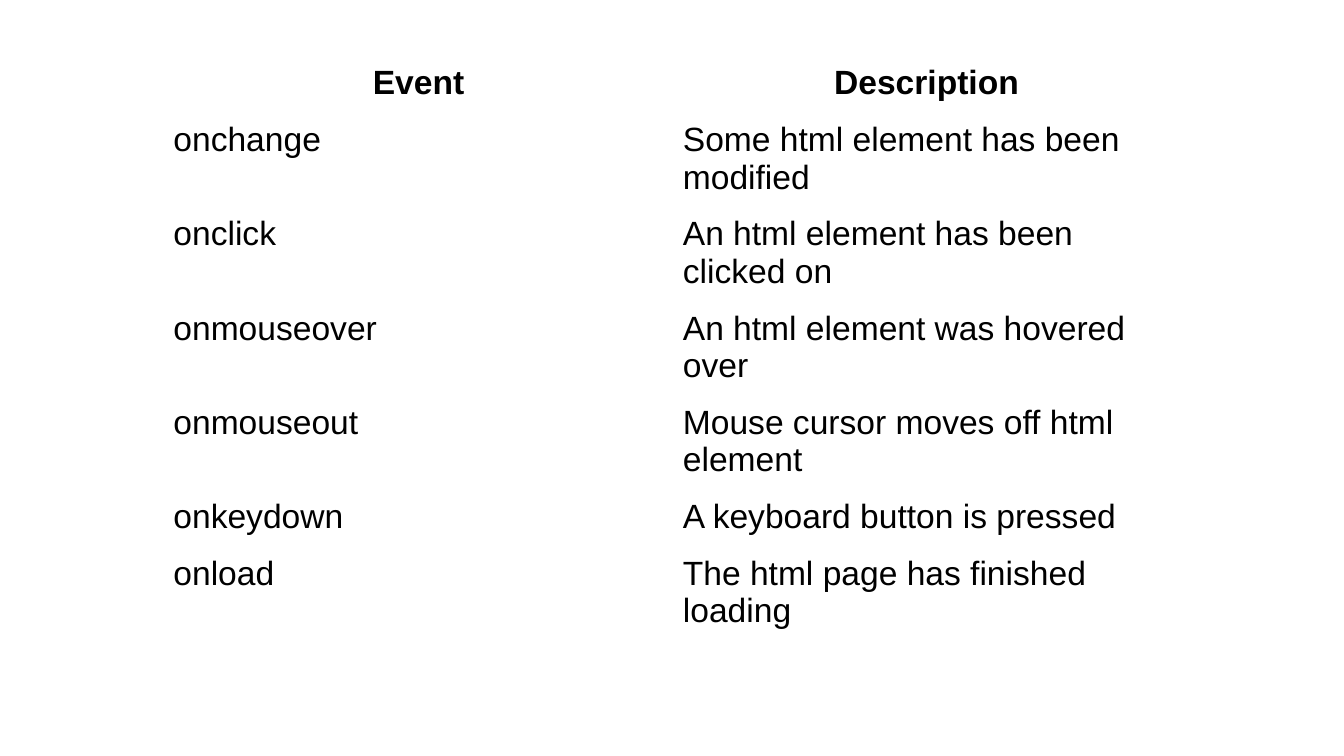
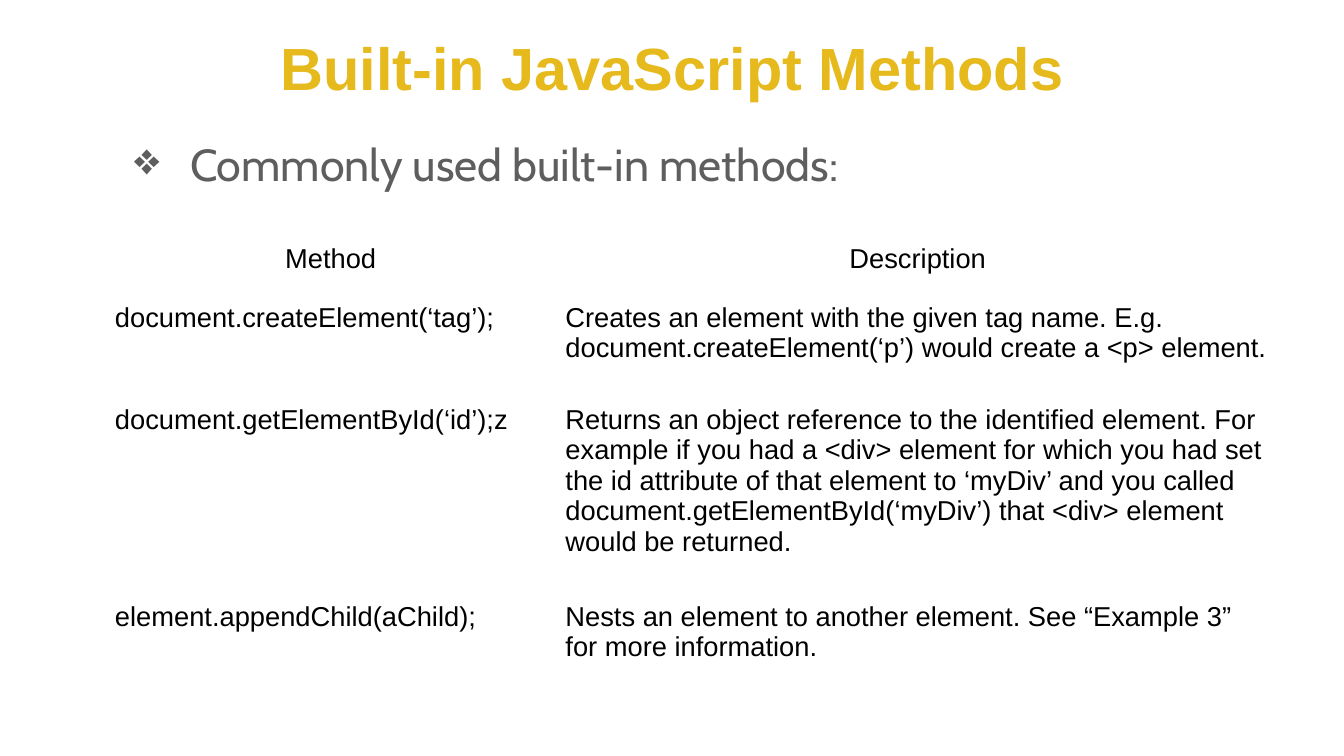
from lxml import etree
from pptx import Presentation, util as u
from pptx.dml.color import RGBColor
from pptx.enum import text
from pptx.oxml.ns import qn

WIDTH, HEIGHT = u.Inches(26.67), u.Inches(15)
COLORS = {"title": "E6B91D", "body": "5E5E5E", "table": "000000"}
TITLE = {"name": "Arial", "size": u.Pt(85), "bold": True}
BODY = {"name": "Cabin", "size": u.Pt(64), "bold": False}
CELL = {"name": "Arial", "bold": False}
CELL_INSET = u.Inches(0.19)
BOX_INSET = u.Inches(0.27)
SIDES = ("left", "top", "right", "bottom")

EVENTS = [
    ("Event", "Description"),
    ("onchange", "Some html element has been modified"),
    ("onclick", "An html element has been clicked on"),
    ("onmouseover", "An html element was hovered over"),
    ("onmouseout", "Mouse cursor moves off html element"),
    ("onkeydown", "A keyboard button is pressed"),
    ("onload", "The html page has finished loading"),
]
METHODS = [
    ("Method", "Description"),
    ("document.createElement(‘tag’);",
     "Creates an element with the given tag name. E.g. "
     "document.createElement(‘p’) would create a <p> element."),
    ("document.getElementById(‘id’);z",
     "Returns an object reference to the identified element. For example if "
     "you had a <div> element for which you had set the id attribute of that "
     "element to ‘myDiv’ and you called document.getElementById(‘myDiv’) "
     "that <div> element would be returned."),
    ("element.appendChild(aChild);",
     "Nests an element to another element. See “Example 3” for more information."),
]


def across(percent):
    return round(WIDTH * percent / 100)


def down(percent):
    return round(HEIGHT * percent / 100)


def apply(target, values):
    for name, value in values.items():
        setattr(target, name, value)


def set_insets(target, inset):
    apply(target, {f"margin_{side}": inset for side in SIDES})


def write(paragraph, wording, font, color, **layout):
    run = paragraph.add_run()
    run.text = wording
    apply(run.font, font)
    run.font.color.rgb = RGBColor.from_string(COLORS[color])
    apply(paragraph, layout)


def add_box(slide, left, top, width, height, anchor):
    shape = slide.shapes.add_textbox(across(left), down(top), across(width), down(height))
    frame = shape.text_frame
    set_insets(frame, BOX_INSET)
    apply(frame, {"word_wrap": True, "vertical_anchor": anchor})
    return frame.paragraphs[0]


def add_title(slide, wording):
    paragraph = add_box(slide, 3.41, 4.13, 93.18, 11.13, text.MSO_ANCHOR.BOTTOM)
    write(paragraph, wording, TITLE, "title",
          alignment=text.PP_ALIGN.CENTER, line_spacing=0.8)


def add_bullet(slide, wording):
    paragraph = add_box(slide, 8.14, 16.33, 83.73, 60.67, text.MSO_ANCHOR.TOP)
    write(paragraph, wording, BODY, "body")
    properties = paragraph._p.get_or_add_pPr()
    properties.set("marL", str(u.Inches(1.33)))
    properties.set("indent", str(u.Inches(-1.11)))
    color = etree.SubElement(properties, qn("a:buClr"))
    etree.SubElement(color, qn("a:srgbClr"), val=COLORS["body"])
    etree.SubElement(properties, qn("a:buChar"), char="❖")


def add_table(slide, left, top, columns, rows, entries, size, bold_header=False):
    table = slide.shapes.add_table(
        len(rows), len(columns), across(left), down(top),
        across(sum(columns)), down(sum(rows))).table
    apply(table, {"first_row": False, "horz_banding": False})
    for column, width in zip(table.columns, columns):
        column.width = across(width)
    for index, (row, height, wordings) in enumerate(zip(table.rows, rows, entries)):
        row.height = down(height)
        header = index == 0
        font = {**CELL, "size": u.Pt(size), "bold": header and bold_header}
        alignment = text.PP_ALIGN.CENTER if header else text.PP_ALIGN.LEFT
        for cell, wording in zip(row.cells, wordings):
            cell.fill.background()
            set_insets(cell, CELL_INSET)
            write(cell.text_frame.paragraphs[0], wording, font, "table",
                  alignment=alignment)


def add_slide(presentation):
    return presentation.slides.add_slide(presentation.slide_layouts[6])


def main():
    presentation = Presentation()
    apply(presentation, {"slide_width": WIDTH, "slide_height": HEIGHT})

    events = add_slide(presentation)
    add_table(events, 12.19, 7.27, (37.91, 37.68),
              (5.47, 10.4, 9.27, 9.27, 9.27, 5.47, 9.27), EVENTS, 48, bold_header=True)

    methods = add_slide(presentation)
    add_title(methods, "Built-in JavaScript Methods")
    add_bullet(methods, "Commonly used built-in methods:")
    add_table(methods, 7.84, 30.93, (33.52, 53.84),
              (7.8, 13.53, 26.07, 13.13), METHODS, 39)

    presentation.save("out.pptx")


if __name__ == "__main__":
    main()
